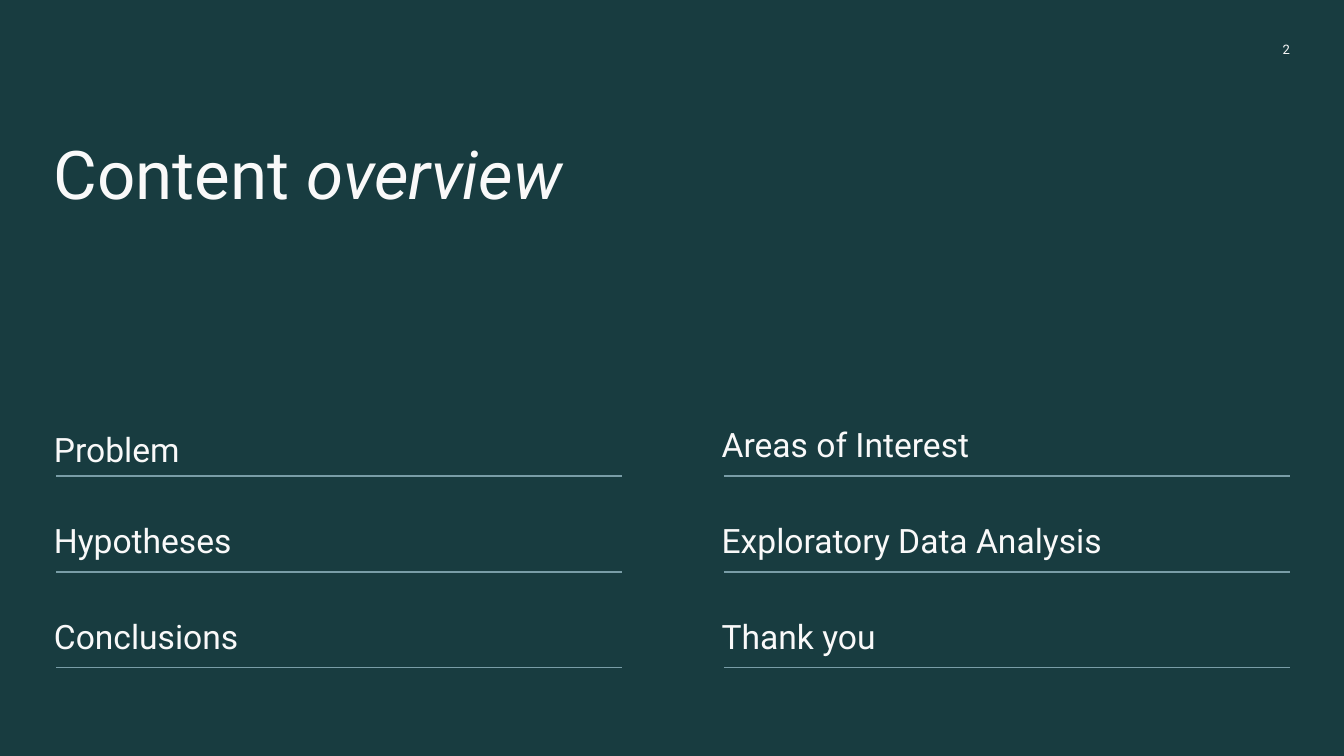
from pptx import Presentation
from pptx.dml.color import RGBColor
from pptx.enum.shapes import MSO_CONNECTOR
from pptx.enum.text import MSO_ANCHOR, PP_ALIGN
from pptx.oxml.ns import qn
from pptx.util import Cm, Pt
from lxml import etree

BACKGROUND = RGBColor(0x18, 0x3C, 0x40)
TEXT_COLOR = RGBColor(0xF9, 0xF9, 0xF9)
RULE_COLOR = RGBColor(0x79, 0x9D, 0xA7)
FONT = "Roboto"
STRAIGHT = MSO_CONNECTOR.STRAIGHT
TOP, MIDDLE = MSO_ANCHOR.TOP, MSO_ANCHOR.MIDDLE
LEFT, RIGHT = PP_ALIGN.LEFT, PP_ALIGN.RIGHT

# Content grid, in centimetres
TOPICS = [
    ("Problem", "Areas of Interest"),
    ("Hypotheses", "Exploratory Data Analysis"),
    ("Conclusions", "Thank you"),
]
COLUMN_LEFTS = (1.02, 13.64)
FIRST_TOP = 7.9
ROW_STEP = 1.81
RULE_INDENT = 0.04
RULE_DROP = 1.1
RULE_LENGTH = 10.7
FIRST_TOPIC_DROP = 0.1


def add_text(slide, text, left, top, width, height, size=18, spacing=1.0,
             align=LEFT, anchor=TOP, margin=0, italic_part=""):
    """Add a one-paragraph text box, with an optional italic ending."""
    box = slide.shapes.add_textbox(Cm(left), Cm(top), Cm(width), Cm(height))
    frame = box.text_frame
    frame.word_wrap = True
    frame.vertical_anchor = anchor
    frame.margin_left = frame.margin_right = 0
    frame.margin_top = frame.margin_bottom = Cm(margin)
    para = frame.paragraphs[0]
    para.alignment = align
    para.line_spacing = spacing
    for part, italic in ((text, False), (italic_part, True)):
        if part:
            span = para.add_run()
            span.text = part
            span.font.name = FONT
            span.font.size = Pt(size)
            span.font.italic = italic
            span.font.color.rgb = TEXT_COLOR


def add_rule(slide, left, top):
    """Add a thin horizontal line without a shadow."""
    rule = slide.shapes.add_connector(
        STRAIGHT, Cm(left), Cm(top), Cm(left + RULE_LENGTH), Cm(top))
    rule.line.color.rgb = RULE_COLOR
    rule.line.width = Pt(0.75)
    etree.SubElement(rule._element.spPr, qn("a:effectLst"))


def add_topics(slide):
    """Lay the topics out in two columns, each above its rule."""
    for row, topics in enumerate(TOPICS):
        top = FIRST_TOP + row * ROW_STEP
        for column, (left, topic) in enumerate(zip(COLUMN_LEFTS, topics)):
            drop = FIRST_TOPIC_DROP if row == column == 0 else 0
            add_text(slide, topic, left, top + drop, 8.76, 0.61, spacing=1.15)
            add_rule(slide, left + RULE_INDENT, top + RULE_DROP)


def main():
    deck = Presentation()
    deck.slide_width, deck.slide_height = Cm(25.4), Cm(14.29)
    page = deck.slides.add_slide(deck.slide_layouts[6])
    page.background.fill.solid()
    page.background.fill.fore_color.rgb = BACKGROUND

    # Title and page number
    add_text(page, "Content ", 1.02, 2.67, 11.56, 1.4, size=36, spacing=0.9,
             italic_part="overview")
    add_text(page, "2", 22.86, 0.61, 1.52, 0.66, size=7, align=RIGHT,
             anchor=MIDDLE, margin=0.25)

    # Topic list
    add_topics(page)

    deck.save("out.pptx")


if __name__ == "__main__":
    main()
